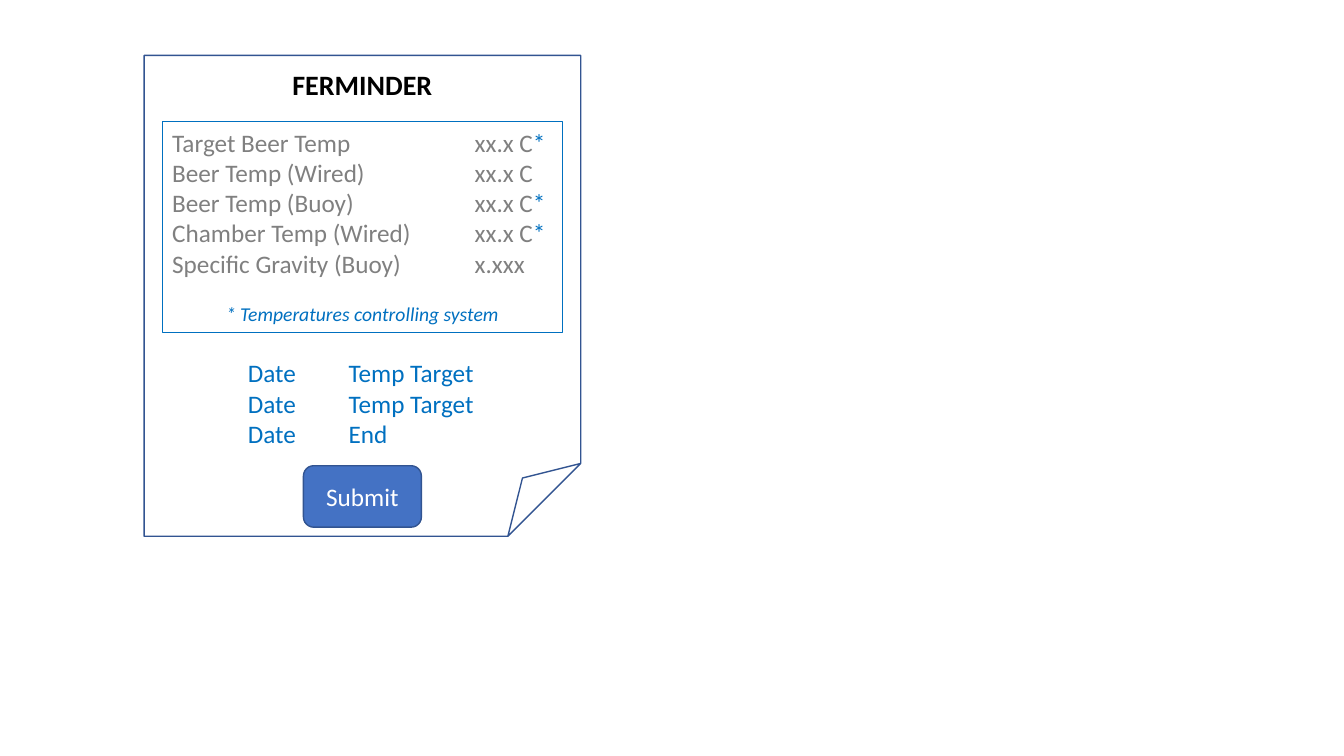
import pptx
import pptx.util
import pptx.dml.color
import pptx.enum.shapes
import pptx.enum.text
import lxml.etree

Inches, Pt = pptx.util.Inches, pptx.util.Pt
KIND = pptx.enum.shapes.MSO_SHAPE
ALIGN = pptx.enum.text.PP_ALIGN
ANCHOR = pptx.enum.text.MSO_ANCHOR
COLORS = {"edge": "325491", "blue": "0070C0", "grey": "808080",
          "button": "4472C4", "white": "FFFFFF", "black": "000000"}
READINGS = [("Target Beer Temp", "xx.x C", True),
            ("Beer Temp (Wired)", "xx.x C", False),
            ("Beer Temp (Buoy)", "xx.x C", True),
            ("Chamber Temp (Wired)", "xx.x C", True),
            ("Specific Gravity (Buoy)", "x.xxx", False)]
STEPS = ["Date\tTemp Target", "Date\tTemp Target", "Date\tEnd"]


def color(name):
    """Return the named colour."""
    return pptx.dml.color.RGBColor.from_string(COLORS[name])


def style(run, name, size=18, bold=False, slant=False):
    """Format one run."""
    font = run.font
    font.name, font.size = "Calibri", Pt(size)
    font.bold, font.italic = bold, slant
    font.color.rgb = color(name)


def set_tab(line, pos):
    """Give a paragraph one left tab stop."""
    props = line._p.get_or_add_pPr()
    space = "{" + props.nsmap["a"] + "}"
    tabs = lxml.etree.SubElement(props, space + "tabLst")
    lxml.etree.SubElement(tabs, space + "tab", pos=str(Inches(pos)), algn="l")


def add_box(slide, kind, box, line, width, fill=None):
    """Add a preset shape with a plain outline."""
    shape = slide.shapes.add_shape(kind, *map(Inches, box))
    shape.shadow.inherit = False
    shape.line.color.rgb = color(line)
    shape.line.width = Pt(width)
    if fill:
        shape.fill.solid()
        shape.fill.fore_color.rgb = color(fill)
    else:
        shape.fill.background()
    return shape


def add_label(slide, box, text, name, size=18, bold=False):
    """Add a text box and return its evenly styled paragraphs."""
    frame = slide.shapes.add_textbox(*map(Inches, box)).text_frame
    frame.word_wrap = True
    frame.text = text
    for line in frame.paragraphs:
        style(line.runs[0], name, size, bold)
    return frame.paragraphs


def add_title(slide, box):
    """Add the centred page title."""
    lines = add_label(slide, box, "FERMINDER", "black", 20, True)
    lines[0].alignment = ALIGN.CENTER


def add_steps(slide, box):
    """Add the dated targets in two columns."""
    for line in add_label(slide, box, "\n".join(STEPS), "blue"):
        set_tab(line, 1)


def add_panel(slide, box):
    """Add the framed readings with their footnote."""
    frame = add_box(slide, KIND.RECTANGLE, box, "blue", 0.75).text_frame
    frame.word_wrap = True
    frame.vertical_anchor = ANCHOR.TOP
    frame.text = "\n".join(f"{label}\t{value}" for label, value, _ in READINGS)
    for line, (_, _, star) in zip(frame.paragraphs, READINGS):
        line.alignment = ALIGN.LEFT
        set_tab(line, 3)
        style(line.runs[0], "grey")
        if star:
            mark = line.add_run()
            mark.text = "*"
            style(mark, "blue")
    note = frame.add_paragraph()
    note.text = "* Temperatures controlling system"
    note.alignment = ALIGN.CENTER
    note.space_before = Pt(17)
    style(note.runs[0], "blue", 14, slant=True)


def add_button(slide, box):
    """Add the submit button."""
    shape = add_box(slide, KIND.ROUNDED_RECTANGLE, box, "edge", 1, "button")
    frame = shape.text_frame
    frame.text = "Submit"
    frame.vertical_anchor = ANCHOR.MIDDLE
    frame.paragraphs[0].alignment = ALIGN.CENTER
    style(frame.paragraphs[0].runs[0], "white")


def add_page(slide, box):
    """Add the folded page and all its parts, centred across it."""
    left, top, width, _ = box

    def place(down, wide, high):
        return left + (width - wide) / 2, top + down, wide, high

    add_box(slide, KIND.FOLDED_CORNER, box, "edge", 1)
    add_panel(slide, place(0.66, 3.97, 2.09))
    add_steps(slide, place(2.95, 2.47, 1.01))
    add_button(slide, place(4.07, 1.17, 0.61))
    add_title(slide, place(0.07, 1.8, 0.44))


def main():
    """Build and save the slide."""
    deck = pptx.Presentation()
    deck.slide_width, deck.slide_height = Inches(13.33), Inches(7.5)
    slide = deck.slides.add_slide(deck.slide_layouts[6])
    add_page(slide, (1.43, 0.55, 4.33, 4.77))
    deck.save("out.pptx")


main()
